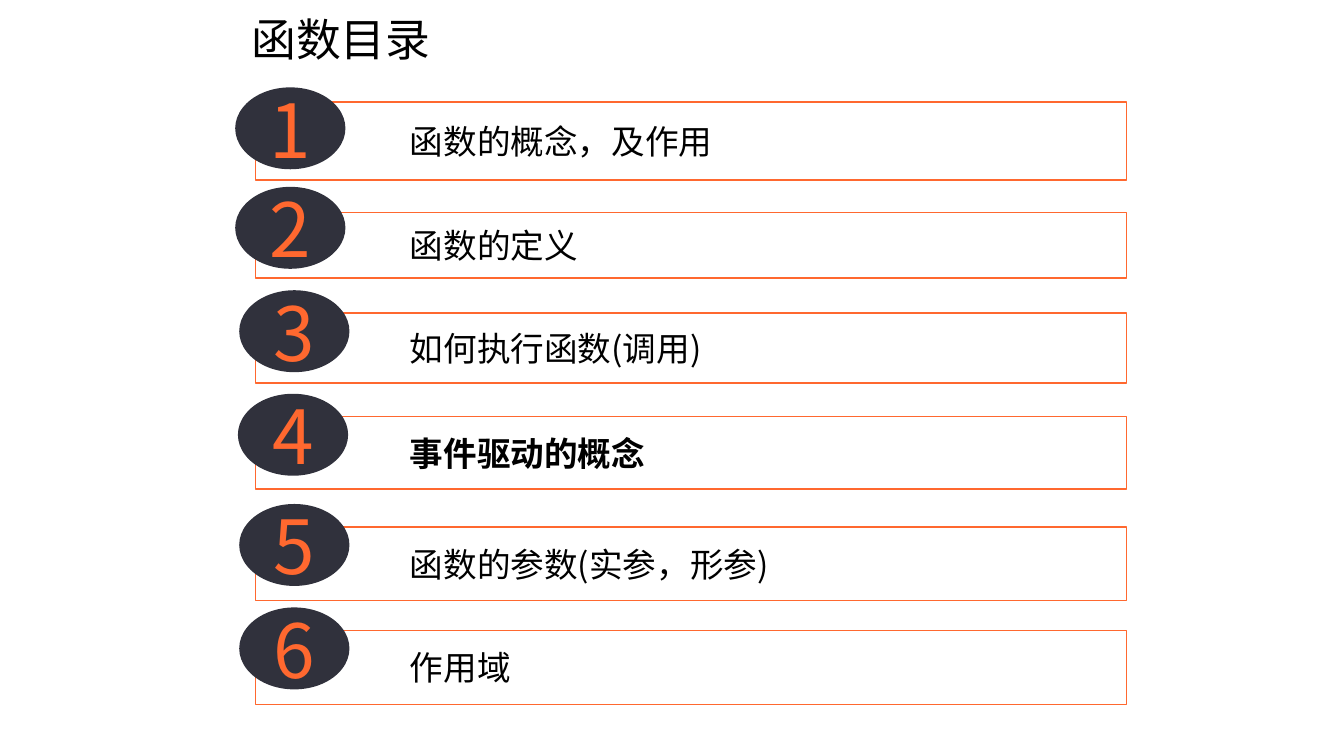
from pptx import Presentation
from pptx.dml.color import RGBColor
from pptx.enum import shapes, text
from pptx.oxml.ns import qn
from pptx.util import Inches, Pt
from lxml import etree

FONT = "Noto Sans CJK SC"
BLACK = RGBColor(0x00, 0x00, 0x00)
WHITE = RGBColor(0xFF, 0xFF, 0xFF)
ORANGE = RGBColor(0xFF, 0x68, 0x2F)
DARK = RGBColor(0x30, 0x31, 0x3C)

BAR_X, BAR_W = 1.9, 6.48
DOT_W, DOT_H = 0.82, 0.61

# label, bar top, bar height, dot left, dot top, bold
TOPICS = [
    ("函数的概念，及作用", 0.76, 0.58, 1.75, 0.65, False),
    ("函数的定义", 1.58, 0.49, 1.75, 1.39, False),
    ("如何执行函数(调用)", 2.33, 0.52, 1.78, 2.16, False),
    ("事件驱动的概念", 3.1, 0.54, 1.77, 2.93, True),
    ("函数的参数(实参，形参)", 3.92, 0.55, 1.78, 3.75, False),
    ("作用域", 4.69, 0.55, 1.78, 4.52, False),
]


def write(shape, words, align, frame, font, color):
    """Fill the shape with one paragraph, using dicts of frame and font values."""
    body = shape.text_frame
    for name, value in frame.items():
        setattr(body, name, value)
    para = body.paragraphs[0]
    para.alignment = align
    run = para.add_run()
    run.text = words
    for name, value in {"name": FONT, **font}.items():
        setattr(run.font, name, value)
    run.font.color.rgb = color
    east = etree.SubElement(run.font._element, qn("a:ea"))
    east.set("typeface", FONT)
    return para


def add_box(slide, kind, box, fill):
    shape = slide.shapes.add_shape(kind, *map(Inches, box))
    shape.shadow.inherit = False
    shape.fill.solid()
    shape.fill.fore_color.rgb = fill
    return shape


def add_bar(slide, words, top, high, bold):
    bar = add_box(slide, shapes.MSO_SHAPE.RECTANGLE,
                  (BAR_X, top, BAR_W, high), WHITE)
    tint = bar.fill._xPr.find(qn("a:solidFill"))[0]
    etree.SubElement(tint, qn("a:alpha")).set("val", "40000")
    bar.line.color.rgb = ORANGE
    bar.line.width = Pt(0.75)
    pad = Inches(0.08)
    frame = {"margin_left": Inches(0.65), "margin_top": pad,
             "margin_right": pad, "margin_bottom": pad, "word_wrap": True,
             "vertical_anchor": text.MSO_ANCHOR.MIDDLE}
    font = {"size": Pt(18), "bold": bold}
    para = write(bar, words, text.PP_ALIGN.LEFT, frame, font, BLACK)
    para.level = 1
    props = para._p.get_or_add_pPr()
    props.set("marL", str(Inches(0.5)))
    props.set("indent", "0")


def add_dot(slide, digit, left, top):
    dot = add_box(slide, shapes.MSO_SHAPE.OVAL,
                  (left, top, DOT_W, DOT_H), DARK)
    dot.line.fill.background()
    frame = {"word_wrap": True, "vertical_anchor": text.MSO_ANCHOR.MIDDLE}
    write(dot, digit, text.PP_ALIGN.CENTER, frame, {"size": Pt(40)}, ORANGE)


def set_title(slide, words):
    title = slide.shapes.title
    place = {"left": 1.77, "top": 0.04, "width": 2.36, "height": 0.5}
    for name, value in place.items():
        setattr(title, name, Inches(value))
    frame = {"vertical_anchor": text.MSO_ANCHOR.TOP, "word_wrap": True,
             "auto_size": text.MSO_AUTO_SIZE.SHAPE_TO_FIT_TEXT}
    write(title, words, text.PP_ALIGN.LEFT, frame, {"size": Pt(24)}, BLACK)


def main():
    deck = Presentation()
    deck.slide_width = Inches(10)
    deck.slide_height = deck.slide_width * 9 // 16
    slide = deck.slides.add_slide(deck.slide_layouts[5])
    set_title(slide, "函数目录")
    for count, topic in enumerate(TOPICS, 1):
        words, top, high, dot_x, dot_y, bold = topic
        add_bar(slide, words, top, high, bold)
        add_dot(slide, str(count), dot_x, dot_y)
    deck.save("out.pptx")


if __name__ == "__main__":
    main()
